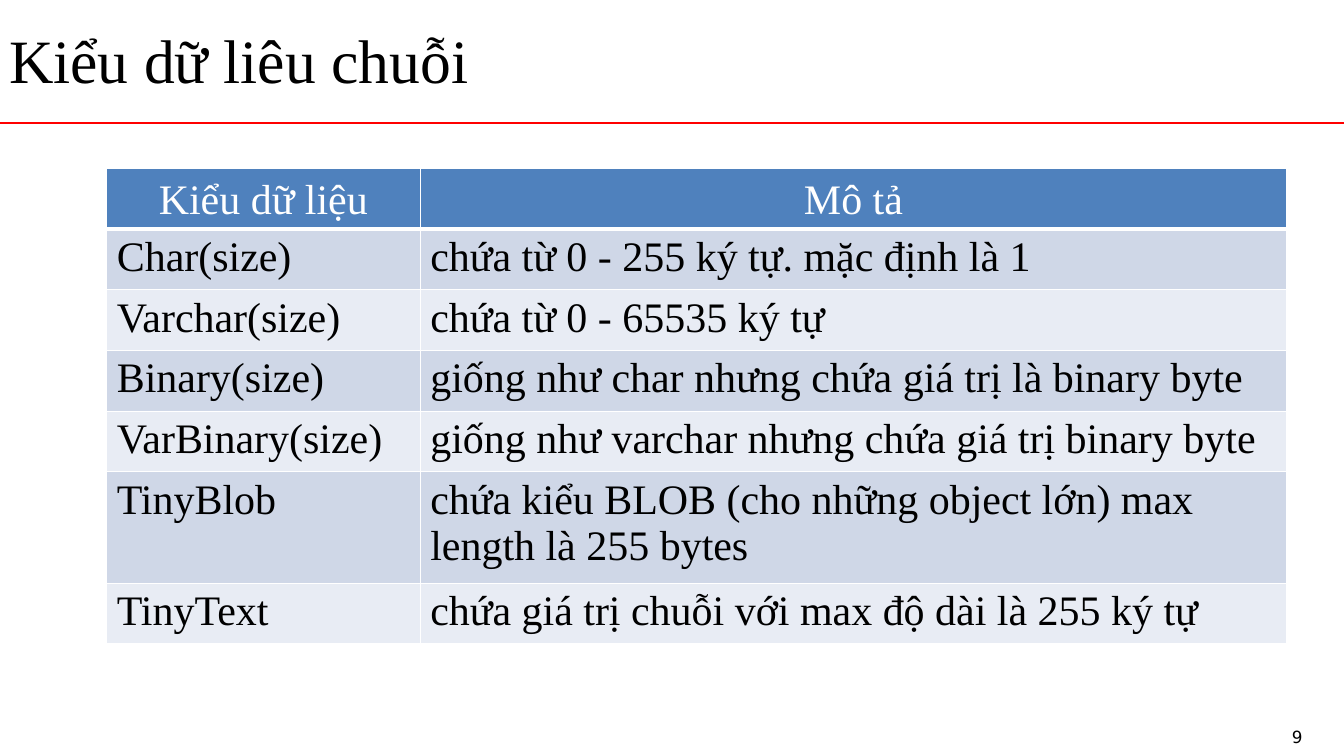
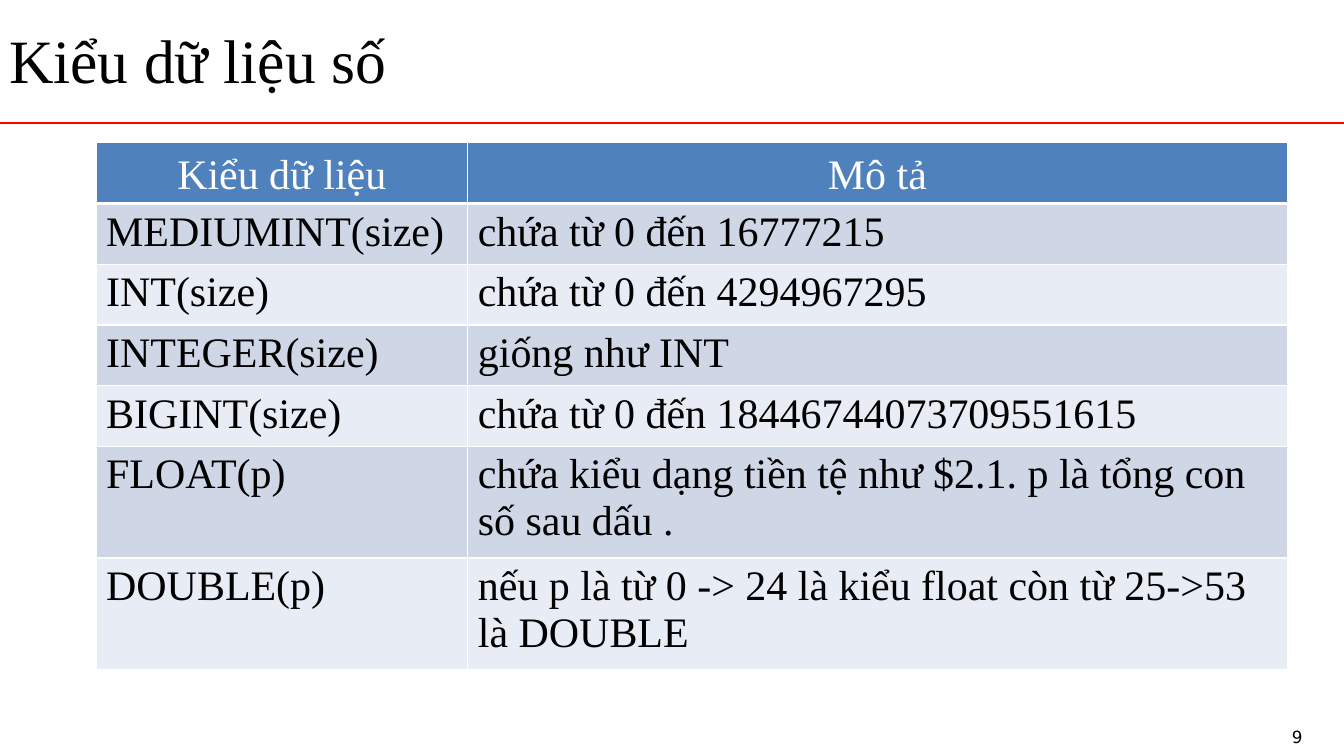
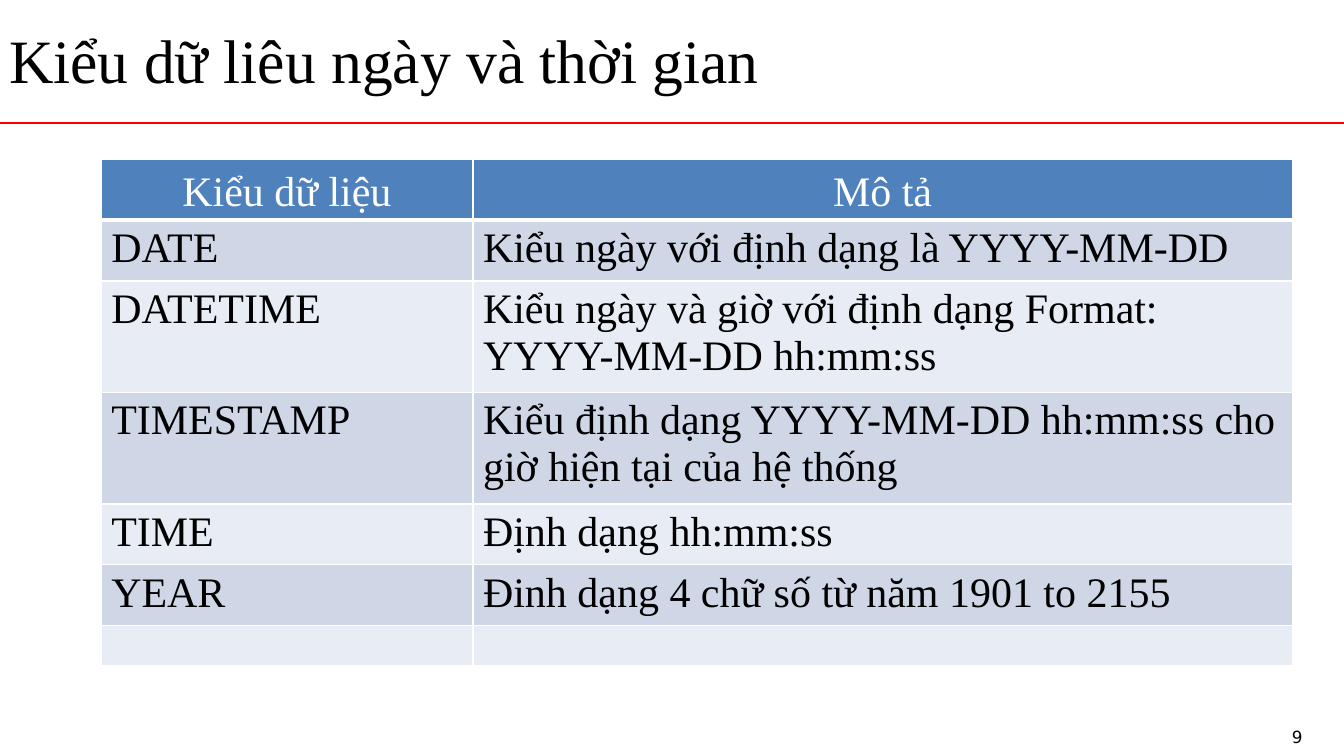
from lxml import etree
from pptx import Presentation
from pptx.dml.color import RGBColor
from pptx.enum import shapes, text
from pptx.oxml import ns
from pptx.util import Cm, Pt

COLORS = {
    "ink": "000000", "white": "FFFFFF", "rule": "FF0000",
    "header": "4F81BD", "odd": "CFD7E7", "even": "E8ECF4",
}
SERIF, SANS = "Times New Roman", "DejaVu Sans"
PAGE_NUMBER = "9"
HEADINGS = ("Kiểu dữ liệu", "Mô tả")
# Row heights in cm, by number of text lines
ROW_HEIGHTS = {0: 1.02, 1: 1.53, 2: 2.81}

# Each row: data type, description, number of text lines. Lengths in cm.
SLIDES = [
    {
        "title": "Kiểu dữ liêu chuỗi",
        "at": (2.69, 4.24),
        "columns": (7.9, 21.84),
        "rows": [
            ("Char(size)", "chứa từ 0 - 255 ký tự. mặc định là 1", 1),
            ("Varchar(size)", "chứa từ 0 - 65535 ký tự", 1),
            ("Binary(size)", "giống như char nhưng chứa giá trị là binary byte", 1),
            ("VarBinary(size)", "giống như varchar nhưng chứa giá trị binary byte", 1),
            ("TinyBlob", "chứa kiểu BLOB (cho những object lớn) max length là 255 bytes", 2),
            ("TinyText", "chứa giá trị chuỗi với max độ dài là 255 ký tự", 1),
        ],
    },
    {
        "title": "Kiểu dữ liệu số",
        "at": (2.42, 3.6),
        "columns": (9.37, 20.65),
        "rows": [
            ("MEDIUMINT(size)", "chứa từ 0 đến 16777215", 1),
            ("INT(size)", "chứa từ 0 đến 4294967295", 1),
            ("INTEGER(size)", "giống như INT", 1),
            ("BIGINT(size)", "chứa từ 0 đến 18446744073709551615", 1),
            ("FLOAT(p)", "chứa kiểu dạng tiền tệ như $2.1. p là tổng con số sau dấu .", 2),
            ("DOUBLE(p)", "nếu p là từ 0 -> 24 là kiểu float còn từ 25->53 là DOUBLE", 2),
        ],
    },
    {
        "title": "Kiểu dữ liêu ngày và thời gian",
        "at": (2.55, 4.02),
        "columns": (9.37, 20.65),
        "rows": [
            ("DATE", "Kiểu ngày với định dạng là YYYY-MM-DD", 1),
            ("DATETIME", "Kiểu ngày và giờ với định dạng Format: YYYY-MM-DD hh:mm:ss", 2),
            ("TIMESTAMP", "Kiểu định dạng YYYY-MM-DD hh:mm:ss cho giờ hiện tại của hệ thống", 2),
            ("TIME", "Định dạng hh:mm:ss", 1),
            ("YEAR", "Đinh dạng 4 chữ số từ năm 1901 to 2155", 1),
            ("", "", 0),
        ],
    },
]


def color(name):
    return RGBColor.from_string(COLORS[name])


def style(p, font, size, ink="ink", align=text.PP_ALIGN.LEFT):
    p.alignment = align
    p.font.name, p.font.size, p.font.bold = font, Pt(size), False
    p.font.color.rgb = color(ink)


def clear_margins(tf):
    tf.margin_left = tf.margin_right = tf.margin_top = tf.margin_bottom = 0
    tf.auto_size = text.MSO_AUTO_SIZE.NONE


def add_title(s, title):
    sp = s.shapes.title
    sp.left, sp.top, sp.width, sp.height = Cm(0.23), Cm(0.48), Cm(26.24), Cm(1.93)
    tf = sp.text_frame
    tf.text = title
    clear_margins(tf)
    tf.vertical_anchor = text.MSO_ANCHOR.BOTTOM
    style(tf.paragraphs[0], SERIF, 44)


def add_rule(s, width):
    y = Cm(3.1)
    line = s.shapes.add_connector(shapes.MSO_CONNECTOR.STRAIGHT, 0, y, width, y)
    line.line.color.rgb = color("rule")
    line.line.width = Pt(1.5)
    etree.SubElement(line._element.spPr, ns.qn("a:effectLst"))


def add_page_number(s):
    tf = s.shapes.add_textbox(Cm(32.56), Cm(18.31), Cm(0.5), Cm(0.58)).text_frame
    tf.text = PAGE_NUMBER
    clear_margins(tf)
    tf.word_wrap = True
    style(tf.paragraphs[0], SANS, 12)


def set_borders(cell, top, bottom):
    """White cell borders; top and bottom widths in points."""
    tc_pr = cell._tc.get_or_add_tcPr()
    for side, width in (("L", 1), ("R", 1), ("T", top), ("B", bottom)):
        ln = etree.SubElement(tc_pr, ns.qn(f"a:ln{side}"), w=str(Pt(width)))
        fill = etree.SubElement(ln, ns.qn("a:solidFill"))
        etree.SubElement(fill, ns.qn("a:srgbClr"), val=COLORS["white"])


def fill_cell(cell, value, row):
    header = row == 0
    set_borders(cell, 3 if row == 1 else 1, 3 if header else 1)
    cell.fill.solid()
    cell.fill.fore_color.rgb = color("header" if header else ("even", "odd")[row % 2])
    cell.text = value
    p = cell.text_frame.paragraphs[0]
    if header:
        cell.vertical_anchor = text.MSO_ANCHOR.BOTTOM
        style(p, SERIF, 30, "white", text.PP_ALIGN.CENTER)
    else:
        style(p, SERIF, 30 if value else 18)


def add_type_table(s, at, columns, rows):
    rows = [(*HEADINGS, 1), *rows]
    heights = [ROW_HEIGHTS[lines] for *_, lines in rows]
    table = s.shapes.add_table(
        len(rows), len(columns), Cm(at[0]), Cm(at[1]), Cm(sum(columns)), Cm(sum(heights))
    ).table
    for column, width in zip(table.columns, columns):
        column.width = Cm(width)
    for i, (*values, _) in enumerate(rows):
        table.rows[i].height = Cm(heights[i])
        for j, value in enumerate(values):
            fill_cell(table.cell(i, j), value, i)


def main():
    prs = Presentation()
    prs.slide_width, prs.slide_height = Cm(33.87), Cm(19.05)
    title_only = prs.slide_layouts[5]
    for content in SLIDES:
        s = prs.slides.add_slide(title_only)
        add_page_number(s)
        add_rule(s, prs.slide_width)
        add_title(s, content["title"])
        add_type_table(s, content["at"], content["columns"], content["rows"])
    prs.save("out.pptx")


if __name__ == "__main__":
    main()
